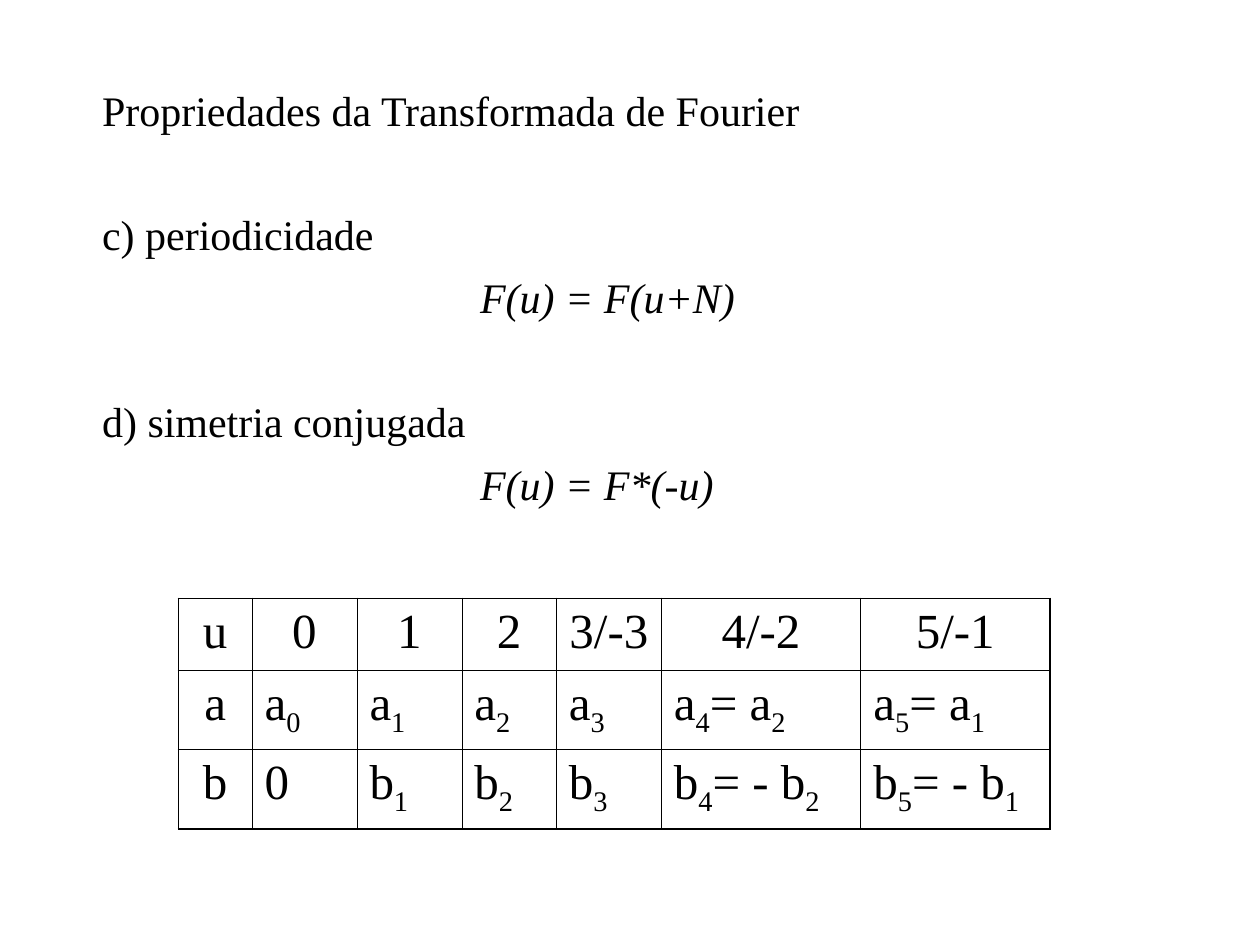
"""Build a slide on periodicity and conjugate symmetry of the Fourier transform."""
from dataclasses import dataclass

from lxml import etree
from pptx import Presentation
from pptx import util as u
from pptx.dml.color import RGBColor
from pptx.enum import text
from pptx.oxml.ns import qn

INK = "000000"
FACE = "Times New Roman"
UNIT = 1 / 12
COLS = (7, 10, 10, 9, 10, 19, 18)
ROWS = (0.57, 0.63, 0.63)
THIN, THICK = 0.45, 1.08
NEAR, FAR = 7.2, 42
LEFT, DEEP = 0.38, 3.38


@dataclass
class Line:
    words: str
    gap: float = 0
    inset: float = LEFT
    slant: bool = False


LINES = (
    Line("Propriedades da Transformada de Fourier"),
    Line("c) periodicidade", FAR),
    Line("F(u) = F(u+N)", NEAR, DEEP, True),
    Line("d) simetria conjugada", FAR),
    Line("F(u) = F*(-u)", NEAR, DEEP, True),
)
CELLS = (
    ("u", "0", "1", "2", "3/-3", "4/-2", "5/-1"),
    ("a", "a_0", "a_1", "a_2", "a_3", "a_4= a_2", "a_5= a_1"),
    ("b", "0", "b_1", "b_2", "b_3", "b_4= - b_2", "b_5= - b_1"),
)


def tint(code: str) -> RGBColor:
    return RGBColor.from_string(code)


def add_run(para, words: str, size: float, slant: bool = False, sub: bool = False) -> None:
    run = para.add_run()
    run.text = words
    font = run.font
    font.name, font.size, font.italic = FACE, u.Pt(size), slant
    font.color.rgb = tint(INK)
    if sub:
        run._r.get_or_add_rPr().set("baseline", "-25000")


def add_line(para, line: Line) -> None:
    props = para._p.get_or_add_pPr()
    props.set("marL", str(u.Inches(line.inset)))
    props.set("indent", "0")
    etree.SubElement(props, qn("a:buNone"))
    para.space_before = u.Pt(line.gap)
    add_run(para, line.words, 24, line.slant)


def fill_body(body) -> None:
    body.left, body.top = u.Inches(0.33), u.Inches(0.58)
    body.width, body.height = u.Inches(9.5), u.Inches(6.08)
    frame = body.text_frame
    frame.word_wrap = True
    frame.auto_size = text.MSO_AUTO_SIZE.NONE
    frame.vertical_anchor = text.MSO_ANCHOR.TOP
    frame.margin_left = frame.margin_right = u.Inches(0.1)
    frame.margin_top, frame.margin_bottom = u.Inches(0.09), u.Inches(0.05)
    for i, line in enumerate(LINES):
        add_line(frame.add_paragraph() if i else frame.paragraphs[0], line)


def add_edge(cell, side: str, width: float) -> None:
    edge = etree.SubElement(cell._tc.get_or_add_tcPr(), qn(f"a:ln{side}"), w=str(u.Pt(width)))
    paint = etree.SubElement(edge, qn("a:solidFill"))
    etree.SubElement(paint, qn("a:srgbClr"), val=INK)


def fill_cell(cell, words: str, row: int, col: int) -> None:
    outer = {"L": col == 0, "R": col == len(COLS) - 1, "T": row == 0, "B": row == len(ROWS) - 1}
    for side, rim in outer.items():
        add_edge(cell, side, THICK if rim else THIN)
    cell.fill.background()
    cell.margin_left = cell.margin_right = u.Inches(0.1)
    cell.margin_top = cell.margin_bottom = u.Inches(0.05)
    para = cell.text_frame.paragraphs[0]
    head = row == 0 or col == 0
    para.alignment = text.PP_ALIGN.CENTER if head else text.PP_ALIGN.LEFT
    base, *parts = words.split("_")
    add_run(para, base, 28)
    for part in parts:
        add_run(para, part[0], 28, sub=True)
        if part[1:]:
            add_run(para, part[1:], 28)


def add_grid(slide) -> None:
    frame = slide.shapes.add_table(
        len(ROWS), len(COLS), u.Inches(17 * UNIT), u.Inches(4.75),
        u.Inches(sum(COLS) * UNIT), u.Inches(sum(ROWS)))
    grid = frame.table
    grid.first_row = grid.horz_banding = False
    for col, span in zip(grid.columns, COLS):
        col.width = u.Inches(span * UNIT)
    for i, (high, words) in enumerate(zip(ROWS, CELLS)):
        grid.rows[i].height = u.Inches(high)
        for j, word in enumerate(words):
            fill_cell(grid.cell(i, j), word, i, j)


def main() -> None:
    deck = Presentation()
    deck.slide_width, deck.slide_height = u.Inches(10), u.Inches(7.5)
    slide = deck.slides.add_slide(deck.slide_layouts[1])
    title = slide.shapes.title._element
    title.getparent().remove(title)
    fill_body(slide.placeholders[1])
    add_grid(slide)
    deck.save("out.pptx")


if __name__ == "__main__":
    main()
